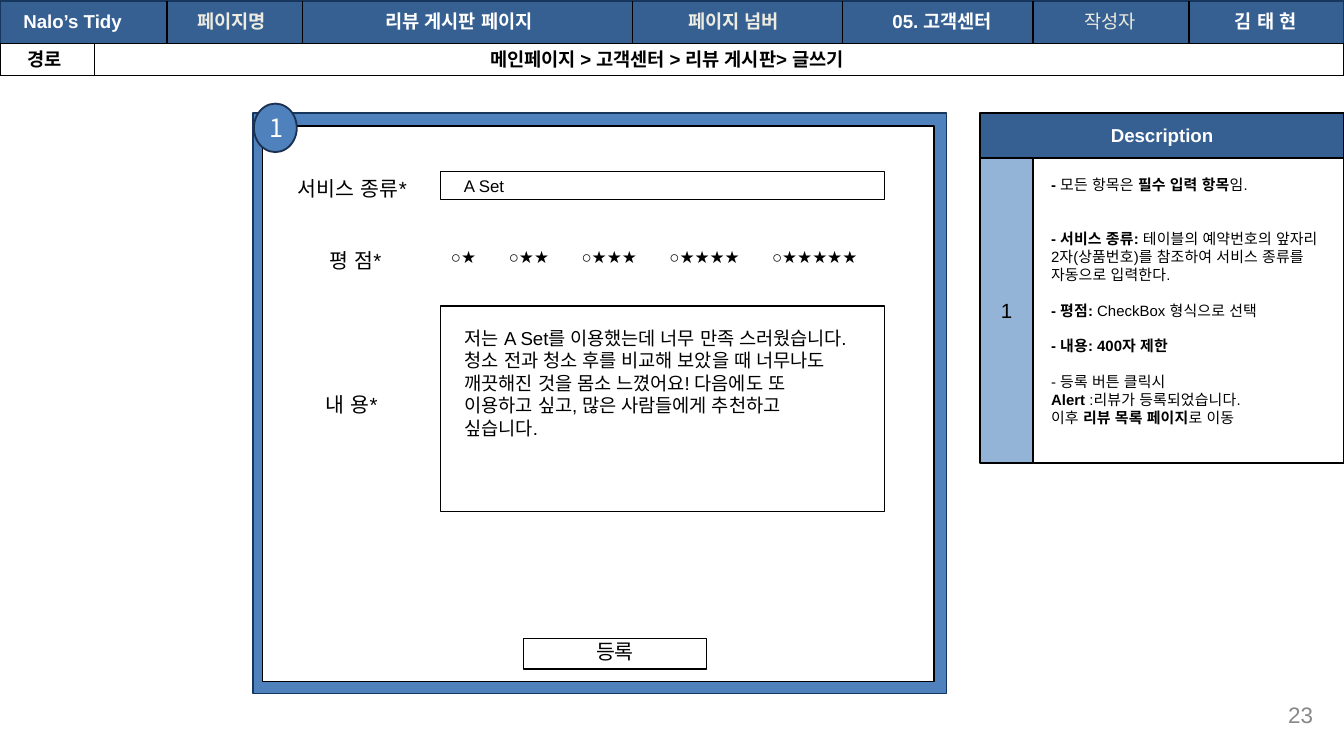
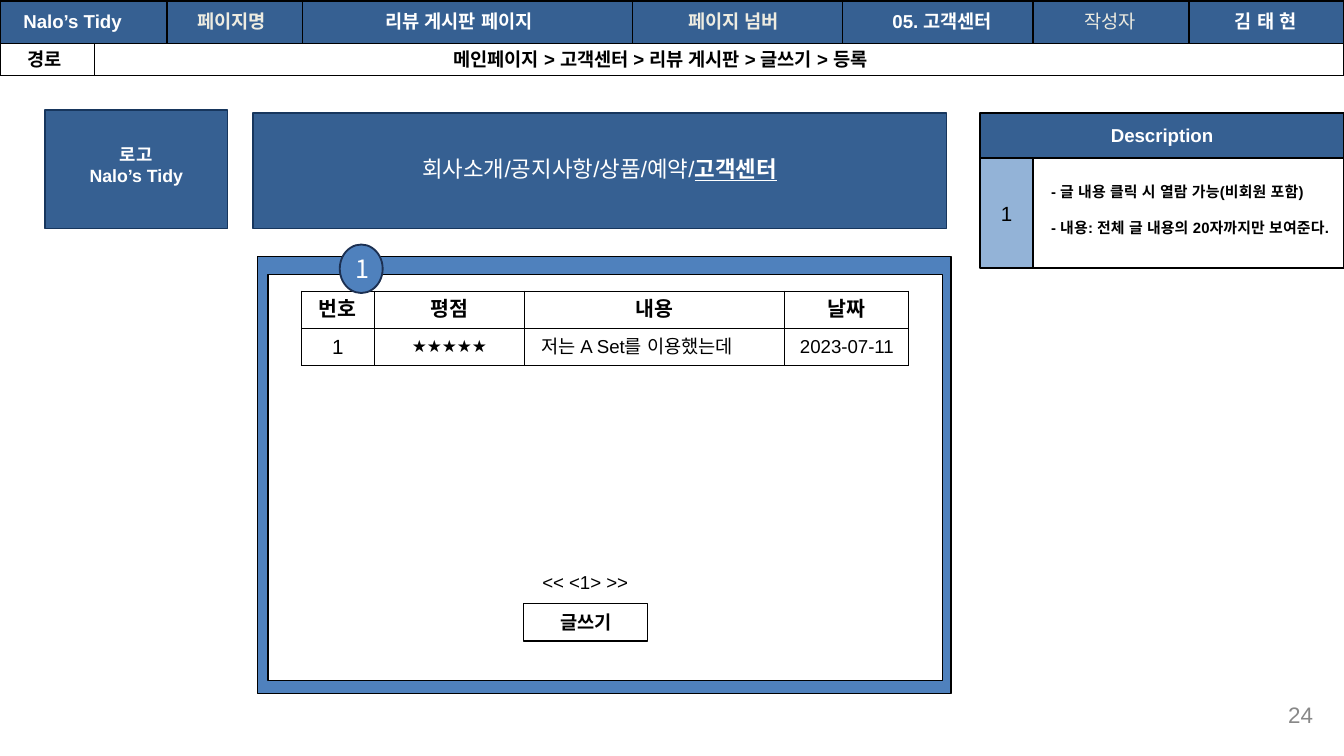
"""Build two storyboard pages for the review board: the writing form and the list."""
from lxml.etree import SubElement
from pptx import Presentation
from pptx.dml.color import RGBColor
from pptx.enum.shapes import MSO_CONNECTOR, MSO_SHAPE
from pptx.enum.text import MSO_ANCHOR, PP_ALIGN
from pptx.oxml.ns import qn
from pptx.util import Pt

WHITE = RGBColor(0xFF, 0xFF, 0xFF)
BLACK = RGBColor(0x00, 0x00, 0x00)
CREAM = RGBColor(0xEE, 0xEC, 0xE1)
GRAY = RGBColor(0x88, 0x88, 0x88)
NAVY = RGBColor(0x17, 0x36, 0x5D)
BADGE_EDGE = RGBColor(0x1C, 0x30, 0x52)
BAND = RGBColor(0x36, 0x60, 0x92)
BLUE = RGBColor(0x4F, 0x81, 0xBD)
PALE = RGBColor(0x93, 0xB3, 0xD7)

LEFT, CENTER, RIGHT = PP_ALIGN.LEFT, PP_ALIGN.CENTER, PP_ALIGN.RIGHT
TOP, MIDDLE = MSO_ANCHOR.TOP, MSO_ANCHOR.MIDDLE
INSET = (7.2, 7.2, 7.2, 7.2)

SERVICE = "Nalo’s Tidy"
HEADER = [
    (SERVICE, 5.5, 78, WHITE, "b"),
    ("페이지명", 98.5, 60, CREAM, "b"),
    ("리뷰 게시판 페이지", 199.5, 142, WHITE, "b"),
    ("페이지 넘버", 361.5, 74, CREAM, "b"),
    ("05. 고객센터", 471, 74, WHITE, "b"),
    ("작성자", 574, 51, CREAM, ""),
    ("김 태 현", 654.5, 57, WHITE, "b"),
]
HEADER_DIVIDERS = [89.5, 162, 339, 451.5, 553.5, 637]
PATH_DIVIDER = 50.5

FORM = {
    "number": "23",
    "header_edge": NAVY,
    "path": ("메인페이지 > 고객센터 > 리뷰 게시판> 글쓰기", 255.5, 254),
    "frame": (135.5, 60.5, 371.5, 311),
    "frame_edge": NAVY,
    "panel": (140.5, 67.5, 360, 297.5),
    "badge": (136, 55.5),
    "note_height": 163.5,
    "note_top": 87,
    "notes": [
        (0, [("- ", "b"), ("모든 항목은 ", ""), ("필수 입력 항목", "b"), ("임.", "")]),
        (2, [("- 서비스 종류: ", "b"),
             ("테이블의 예약번호의 앞자리 2자(상품번호)를 참조하여 서비스 종류를 자동으로 입력한다.", "")]),
        (1, [("- 평점: ", "b"), ("CheckBox 형식으로 선택", "")]),
        (1, [("- 내용: 400자 제한", "b")]),
        (1, [("- 등록 버튼 클릭시", "")]),
        (0, [("Alert", "b"), (" :리뷰가 등록되었습니다.", "")]),
        (0, [("이후 ", ""), ("리뷰 목록 페이지", "b"), ("로 이동", "")]),
    ],
}
FORM_LABELS = [("서비스 종류*", 152.5, 87.5), ("평 점*", 169.5, 126), ("내 용*", 167.5, 203.5)]
RATING_STOPS = [31, 70, 117, 172]
RATINGS = "\t".join("○" + "★" * count for count in range(1, 6))
REVIEW = ("저는 A Set를 이용했는데 너무 만족 스러웠습니다. 청소 전과 청소 후를 비교해 보았을 때 "
          "너무나도 깨끗해진 것을 몸소 느꼈어요! 다음에도 또 이용하고 싶고, "
          "많은 사람들에게 추천하고 싶습니다.")

BOARD = {
    "number": "24",
    "header_edge": BLACK,
    "path": ("메인페이지 > 고객센터 > 리뷰 게시판 > 글쓰기 > 등록", 236, 274),
    "frame": (138, 137.5, 371.5, 234),
    "frame_edge": BLACK,
    "panel": (143.5, 147, 361.5, 217.5),
    "badge": (182, 131),
    "note_height": 59,
    "note_top": 90.5,
    "notes": [
        (0, [("- 글 내용 클릭 시 열람 가능(비회원 포함)", "b")]),
        (1, [("- 내용: 전체 글 내용의 20자까지만 보여준다.", "b")]),
    ],
}
LOGO = [(0, [("로고", "b")]), (0, [(SERVICE, "b")])]
MENU = [(0, [("회사소개/공지사항/상품/예약/", ""), ("고객센터", "bu")])]
REVIEW_ROWS = [
    ("번호", "평점", "내용", "날짜"),
    ("1", "★★★★★", "저는 A Set를 이용했는데", "2023-07-11"),
]
COLUMN_WIDTHS = [39, 80.5, 139.5, 66.5]
ENTRY_SIZES = [11, 9, 10, 10]
ROW_HEIGHT = 20


def write(frame, text, size=10, color=BLACK, style="", align=LEFT, font="Arial"):
    """Fill a text frame from a string or a list of (blank lines before, spans)."""
    paragraphs = [(0, [(text, style)])] if isinstance(text, str) else text
    for index, (gap, spans) in enumerate(paragraphs):
        para = frame.add_paragraph() if index else frame.paragraphs[0]
        para.alignment = align
        if gap:
            para.space_before = Pt(gap * size * 1.2)
        for words, look in spans:
            span = para.add_run()
            span.text = words
            span.font.size = Pt(size)
            span.font.name = font
            span.font.color.rgb = color
            span.font.bold = "b" in look
            span.font.underline = "u" in look
            SubElement(span.font._element, qn("a:ea"), typeface=font)


def set_frame(shape, inset, anchor):
    """Wrap the text and set its insets and anchor."""
    frame = shape.text_frame
    frame.word_wrap = True
    frame.margin_left, frame.margin_top, frame.margin_right, frame.margin_bottom = map(Pt, inset)
    frame.vertical_anchor = anchor
    return frame


def add_label(page, text, left, top, width, height=20, anchor=TOP, **format):
    """Add a plain text box."""
    box = page.shapes.add_textbox(Pt(left), Pt(top), Pt(width), Pt(height))
    write(set_frame(box, INSET, anchor), text, **format)
    return box


def add_box(page, area, fill=WHITE, edge=BLACK, weight=0.75, text="", kind=MSO_SHAPE.RECTANGLE,
            inset=(0, 0, 0, 0), anchor=MIDDLE, align=CENTER, **format):
    """Add a filled, outlined shape with optional text."""
    box = page.shapes.add_shape(kind, *map(Pt, area))
    box.shadow.inherit = False
    box.fill.solid()
    box.fill.fore_color.rgb = fill
    box.line.color.rgb = edge
    box.line.width = Pt(weight)
    if text:
        write(set_frame(box, inset, anchor), text, align=align, **format)
    return box


def add_divider(page, x, top, bottom):
    """Add a thin vertical line."""
    line = page.shapes.add_connector(MSO_CONNECTOR.STRAIGHT, Pt(x), Pt(top), Pt(x), Pt(bottom))
    line.line.color.rgb = BLACK
    line.line.width = Pt(0.75)
    SubElement(line._element.spPr, qn("a:effectLst"))


def add_base(deck, content):
    """Add a page with header, path, framed panel, description and page number."""
    page = deck.slides.add_slide(deck.slide_layouts[6])
    add_box(page, (0, 0.5, 720, 23), BAND, content["header_edge"])
    add_box(page, (0, 23.5, 720, 17))
    for x in HEADER_DIVIDERS:
        add_divider(page, x, 0.5, 23.5)
    add_divider(page, PATH_DIVIDER, 23.5, 40.5)
    for text, left, width, color, style in HEADER:
        add_label(page, text, left, -0.7, width, color=color, style=style)
    add_label(page, "경로", 7.5, 19.8, 39, style="b")
    path, left, width = content["path"]
    add_label(page, path, left, 19.8, width, style="b")

    add_box(page, content["frame"], BLUE, content["frame_edge"])
    add_box(page, content["panel"])

    height = content["note_height"]
    add_box(page, (525, 60.5, 195, 24), BAND, weight=1.25, text="Description",
            color=WHITE, style="b")
    add_box(page, (553.5, 84.5, 166.5, height), weight=1.25)
    add_box(page, (525, 84.5, 28.5, height), PALE, weight=1.25, text="1", size=11)
    add_label(page, content["notes"], 556, content["note_top"], 162, height - 12, size=8)
    add_label(page, content["number"], 667.5, 367.5, 43, 31, anchor=MIDDLE,
              size=12, color=GRAY, align=RIGHT)
    return page


def add_badge(page, content):
    """Add the numbered circle that refers to the description."""
    add_box(page, (*content["badge"], 23, 26), BLUE, BADGE_EDGE, 1, "1", MSO_SHAPE.OVAL,
            inset=(5, 3, 5, 3), size=13.5, color=WHITE, font="Noto Sans CJK KR")


def add_review_table(page, left, top):
    """Add the list of reviews as a ruled table."""
    table = page.shapes.add_table(len(REVIEW_ROWS), len(COLUMN_WIDTHS), Pt(left), Pt(top),
                                  Pt(sum(COLUMN_WIDTHS)), Pt(ROW_HEIGHT * len(REVIEW_ROWS))).table
    table.first_row = table.horz_banding = False
    for column, width in zip(table.columns, COLUMN_WIDTHS):
        column.width = Pt(width)
    for row, texts in enumerate(REVIEW_ROWS):
        table.rows[row].height = Pt(ROW_HEIGHT)
        for column, text in enumerate(texts):
            cell = table.cell(row, column)
            entry_text = row == 1 and column == 2
            cell.margin_top = cell.margin_bottom = cell.margin_right = 0
            cell.margin_left = Pt(9 if entry_text else 0)
            cell.vertical_anchor = MIDDLE
            write(cell.text_frame, text, size=ENTRY_SIZES[column] if row else 11,
                  style="" if row else "b", align=LEFT if entry_text else CENTER)
            properties = cell._tc.get_or_add_tcPr()
            for side in ("lnL", "lnR", "lnT", "lnB"):
                border = SubElement(properties, qn(f"a:{side}"), w=str(Pt(0.75)))
                SubElement(SubElement(border, qn("a:solidFill")), qn("a:srgbClr"), val=str(BLACK))
            cell.fill.solid()
            cell.fill.fore_color.rgb = WHITE


def build_form(deck):
    """Build the page for writing a review."""
    page = add_base(deck, FORM)
    for text, left, top in FORM_LABELS:
        add_label(page, text, left, top, 81, size=11)
    add_box(page, (236, 92, 238, 15), text="A Set", size=9, align=LEFT, inset=(12.5, 0, 0, 0))
    ratings = add_label(page, RATINGS, 234.5, 126.5, 251, size=9)
    stops = SubElement(ratings.text_frame.paragraphs[0]._p.get_or_add_pPr(), qn("a:tabLst"))
    for stop in RATING_STOPS:
        SubElement(stops, qn("a:tab"), pos=str(Pt(stop)), algn="l")
    add_box(page, (236, 164, 238, 110), text=REVIEW, align=LEFT, anchor=TOP,
            inset=(13, 11, 18, 7))
    add_box(page, (280.5, 342, 98, 16.5), text="등록", size=11, inset=(0, 0, 0, 3))
    add_badge(page, FORM)


def build_board(deck):
    """Build the page that lists the reviews."""
    page = add_base(deck, BOARD)
    add_box(page, (24, 59, 98, 63.5), BAND, NAVY, text=LOGO, anchor=TOP,
            inset=(7, 18, 7, 7), size=9.5, color=WHITE)
    add_box(page, (135.5, 60.5, 371.5, 62), BAND, NAVY, text=MENU, size=12, color=WHITE,
            inset=(0, 0, 0, 2))
    add_review_table(page, 161.5, 156)
    add_label(page, "<< <1> >>", 274.5, 300, 78, align=CENTER)
    add_box(page, (280.5, 323.5, 66.5, 20), text="글쓰기", style="b")
    add_badge(page, BOARD)


def main():
    """Build and save the deck."""
    deck = Presentation()
    deck.slide_width, deck.slide_height = Pt(720), Pt(405)
    build_form(deck)
    build_board(deck)
    deck.save("out.pptx")


if __name__ == "__main__":
    main()
